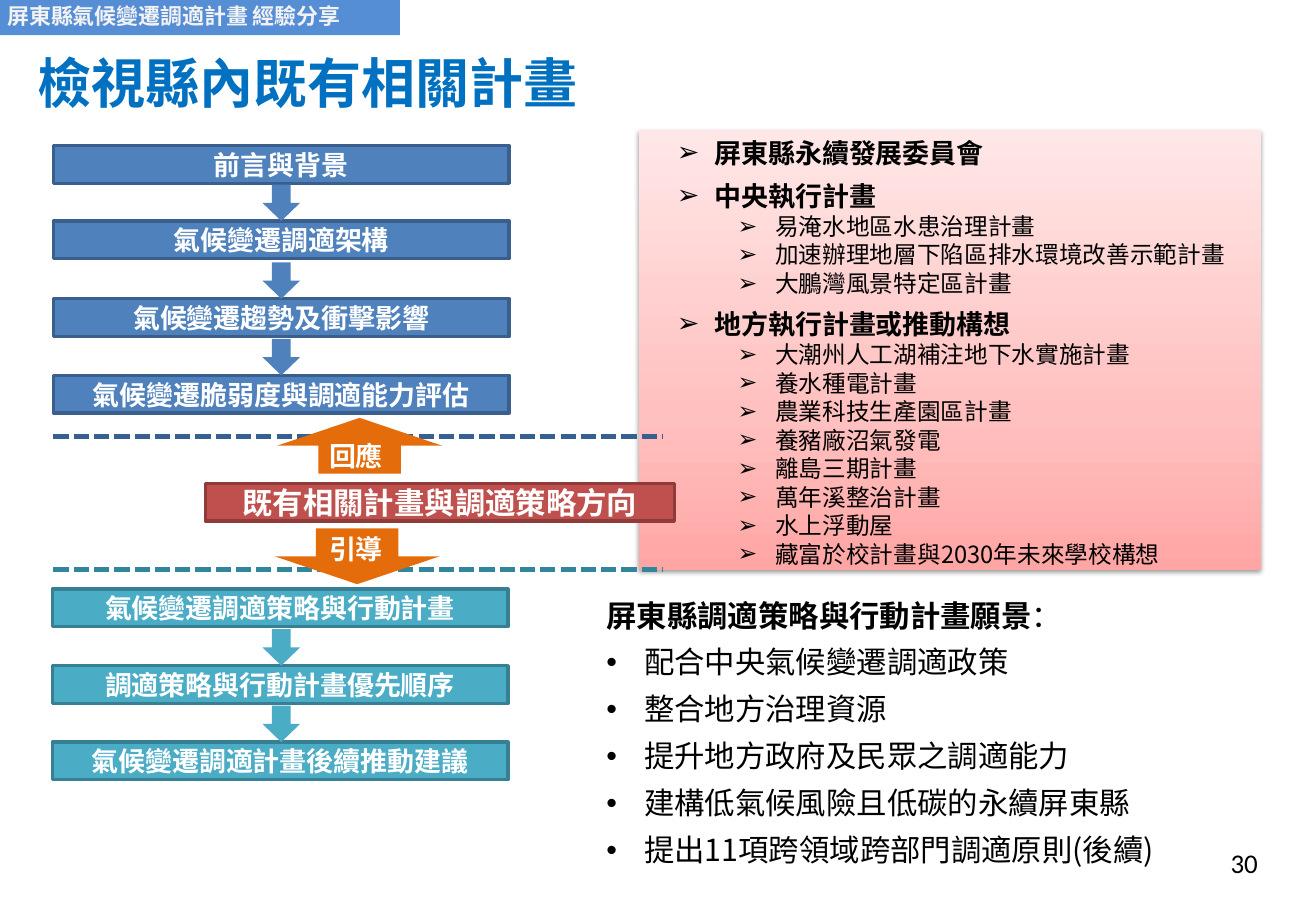
"""Builds the slide that reviews the county's existing climate plans."""
from dataclasses import dataclass

from lxml import etree
from pptx import Presentation
from pptx.dml import color
from pptx.enum import dml, shapes, text
from pptx.oxml import ns
from pptx import util as u

PX = 9144
FONT = "Noto Sans CJK SC"
WHITE, BLACK, ORANGE = "FFFFFF", "000000", "E46C0A"
BLUE, BLUE_EDGE = "4F81BD", "3A5F8C"
TEAL, TEAL_EDGE = "4BACC6", "377F92"
LEFT, CENTER, RIGHT = text.PP_ALIGN.LEFT, text.PP_ALIGN.CENTER, text.PP_ALIGN.RIGHT
TOP, MIDDLE = text.MSO_ANCHOR.TOP, text.MSO_ANCHOR.MIDDLE
KIND = shapes.MSO_SHAPE
STEP_H, ARROW_W, ARROW_H = 31, 31, 30


@dataclass(frozen=True)
class Box:
    x: int
    y: int
    w: int
    h: int


@dataclass(frozen=True)
class Style:
    size: int
    color: str = WHITE
    bold: bool = True
    align: int = LEFT
    font: str = FONT


@dataclass(frozen=True)
class Item:
    text: str
    style: Style
    level: int = 0
    bullet: str = ""
    before: int = 0


@dataclass(frozen=True)
class Flow:
    x: int
    fill: str
    edge: str
    steps: tuple[tuple[int, str], ...]


@dataclass(frozen=True)
class Callout:
    kind: int
    arrow: Box
    label: str
    label_y: int


HEAD = Style(16, BLACK)
SUB = Style(14, BLACK, False)
STEP = Style(16, align=CENTER)
VISION = Style(18, BLACK, False)

FLOWS = (
    Flow(44, BLUE, BLUE_EDGE, (
        (120, "前言與背景"),
        (182, "氣候變遷調適架構"),
        (246, "氣候變遷趨勢及衝擊影響"),
        (309, "氣候變遷脆弱度與調適能力評估"))),
    Flow(43, TEAL, TEAL_EDGE, (
        (485, "氣候變遷調適策略與行動計畫"),
        (548, "調適策略與行動計畫優先順序"),
        (611, "氣候變遷調適計畫後續推動建議"))),
)
CALLOUTS = (
    Callout(KIND.UP_ARROW, Box(228, 344, 136, 46), "回應", 357),
    Callout(KIND.DOWN_ARROW, Box(226, 435, 136, 46), "引導", 433),
)
PLANS = (
    ("屏東縣永續發展委員會", ()),
    ("中央執行計畫", (
        "易淹水地區水患治理計畫",
        "加速辦理地層下陷區排水環境改善示範計畫",
        "大鵬灣風景特定區計畫")),
    ("地方執行計畫或推動構想", (
        "大潮州人工湖補注地下水實施計畫",
        "養水種電計畫",
        "農業科技生產園區計畫",
        "養豬廠沼氣發電",
        "離島三期計畫",
        "萬年溪整治計畫",
        "水上浮動屋",
        "藏富於校計畫與2030年未來學校構想")),
)
GOALS = (
    "配合中央氣候變遷調適政策",
    "整合地方治理資源",
    "提升地方政府及民眾之調適能力",
    "建構低氣候風險且低碳的永續屏東縣",
    "提出11項跨領域跨部門調適原則(後續)",
)
DIVIDERS = ((469, "31859C"), (359, "376092"))


def px(n: int) -> u.Emu:
    return u.Emu(n * PX)


def rgb(value: str) -> color.RGBColor:
    return color.RGBColor.from_string(value)


def add_xml(parent, tag: str, **attrs):
    return etree.SubElement(parent, ns.qn(f"a:{tag}"), attrs)


def place(sp, box: Box) -> None:
    sp.left, sp.top, sp.width, sp.height = map(px, (box.x, box.y, box.w, box.h))


def add_item(p, item: Item) -> None:
    style = item.style
    p.add_run().text = item.text
    p.level = item.level
    p.alignment = style.align
    p.space_before = u.Pt(item.before)
    p.space_after = u.Pt(0)
    p.line_spacing = u.Pt(round(style.size * 1.21, 1))
    pPr = p._p.get_or_add_pPr()
    pPr.set("marL", str(px(31 + 50 * item.level) if item.bullet else 0))
    pPr.set("indent", str(px(-31) if item.bullet else 0))
    if item.bullet:
        add_xml(pPr, "buChar", char=item.bullet)
    else:
        add_xml(pPr, "buNone")
    font = p.font
    font.size, font.bold, font.name = u.Pt(style.size), style.bold, style.font
    font.color.rgb = rgb(style.color)
    add_xml(pPr.find(ns.qn("a:defRPr")), "ea", typeface=style.font)


def write(sp, items: list[Item], anchor=TOP, wrap: bool = True,
          inset: tuple[int, int] = (10, 5)) -> None:
    tf = sp.text_frame
    tf.auto_size = text.MSO_AUTO_SIZE.NONE
    tf.word_wrap, tf.vertical_anchor = wrap, anchor
    tf.margin_left = tf.margin_right = px(inset[0])
    tf.margin_top = tf.margin_bottom = px(inset[1])
    for i, item in enumerate(items):
        add_item(tf.add_paragraph() if i else tf.paragraphs[0], item)


def add_block(s, kind: int, box: Box, fill: str, edge: str = ""):
    sp = s.shapes.add_shape(kind, *map(px, (box.x, box.y, box.w, box.h)))
    sp.shadow.inherit = False
    sp.fill.solid()
    sp.fill.fore_color.rgb = rgb(fill)
    if edge:
        sp.line.color.rgb, sp.line.width = rgb(edge), u.Pt(2)
    else:
        sp.line.fill.background()
    return sp


def add_text(s, box: Box, item: Item, anchor=TOP, wrap: bool = True) -> None:
    sp = s.shapes.add_textbox(*map(px, (box.x, box.y, box.w, box.h)))
    write(sp, [item], anchor, wrap)


def add_panel(s, box: Box) -> None:
    sp = add_block(s, KIND.RECTANGLE, box, "FFC0BF")
    sp.fill.gradient()
    sp.fill.gradient_angle = 90
    stops = sp._element.spPr.find(".//" + ns.qn("a:gsLst"))
    for old in list(stops):
        stops.remove(old)
    for pos, tint in ((0, "FFA6A5"), (35, "FFC0BF"), (100, "FFE7E7")):
        add_xml(add_xml(stops, "gs", pos=str(pos * 1000)), "srgbClr", val=tint)
    effects = sp._element.spPr.find(ns.qn("a:effectLst"))
    shadow = add_xml(effects, "outerShdw", blurRad=str(u.Pt(3.1)), dist=str(u.Pt(1.6)),
                     dir="5400000", rotWithShape="0")
    add_xml(add_xml(shadow, "srgbClr", val=BLACK), "alpha", val="38000")


def add_divider(s, y: int, tint: str) -> None:
    line = s.shapes.add_connector(shapes.MSO_CONNECTOR.STRAIGHT, px(44), px(y), px(545), px(y))
    line.line.color.rgb, line.line.width = rgb(tint), u.Pt(3)
    line.line.dash_style = dml.MSO_LINE.SQUARE_DOT
    add_xml(line._element.spPr, "effectLst")


def add_flow(s, flow: Flow) -> None:
    for i, (y, label) in enumerate(flow.steps):
        sp = add_block(s, KIND.RECTANGLE, Box(flow.x, y, 375, STEP_H), flow.fill, flow.edge)
        write(sp, [Item(label, STEP)], MIDDLE)
        if i:
            add_block(s, KIND.DOWN_ARROW, Box(216, y - ARROW_H, ARROW_W, ARROW_H), flow.fill)


def main() -> None:
    prs = Presentation()
    prs.slide_width, prs.slide_height = px(1083), px(750)
    s = prs.slides.add_slide(prs.slide_layouts[3])
    title, plans, vision = s.placeholders

    header = add_block(s, KIND.RECTANGLE, Box(0, 0, 329, 29), "558ED5")
    write(header, [Item("屏東縣氣候變遷調適計畫 經驗分享", Style(13, "F2F2F2"))], inset=(6, 2))
    place(title, Box(21, 29, 975, 77))
    write(title, [Item("檢視縣內既有相關計畫", Style(32, "0070C0"))], MIDDLE)

    add_panel(s, Box(526, 107, 512, 362))
    for y, tint in DIVIDERS:
        add_divider(s, y, tint)
    for flow in FLOWS:
        add_flow(s, flow)
    bar = add_block(s, KIND.RECTANGLE, Box(169, 398, 386, STEP_H), "C0504D", "8E3B39")
    write(bar, [Item("既有相關計畫與調適策略方向", Style(18, align=CENTER))], MIDDLE)
    for c in CALLOUTS:
        add_block(s, c.kind, c.arrow, ORANGE)
        add_text(s, Box(261, c.label_y, 65, 37), Item(c.label, Style(16)), wrap=False)

    items = []
    for head, subs in PLANS:
        items.append(Item(head, HEAD, 0, "➢", 6 if items else 0))
        items += [Item(sub, SUB, 1, "➢") for sub in subs]
    place(plans, Box(547, 107, 490, 367))
    write(plans, items)
    place(vision, Box(489, 486, 515, 234))
    write(vision, [Item("屏東縣調適策略與行動計畫願景", VISION)]
          + [Item(goal, VISION, 0, "•", 6) for goal in GOALS])
    lead = vision.text_frame.paragraphs[0]
    lead.runs[0].font.bold = True
    lead.add_run().text = "："
    for sp in (plans, vision):
        s.shapes._spTree.append(sp._element)
    add_text(s, Box(792, 690, 253, 40),
             Item("30", Style(16, BLACK, False, RIGHT, "Calibri")), MIDDLE)
    prs.save("out.pptx")


if __name__ == "__main__":
    main()
